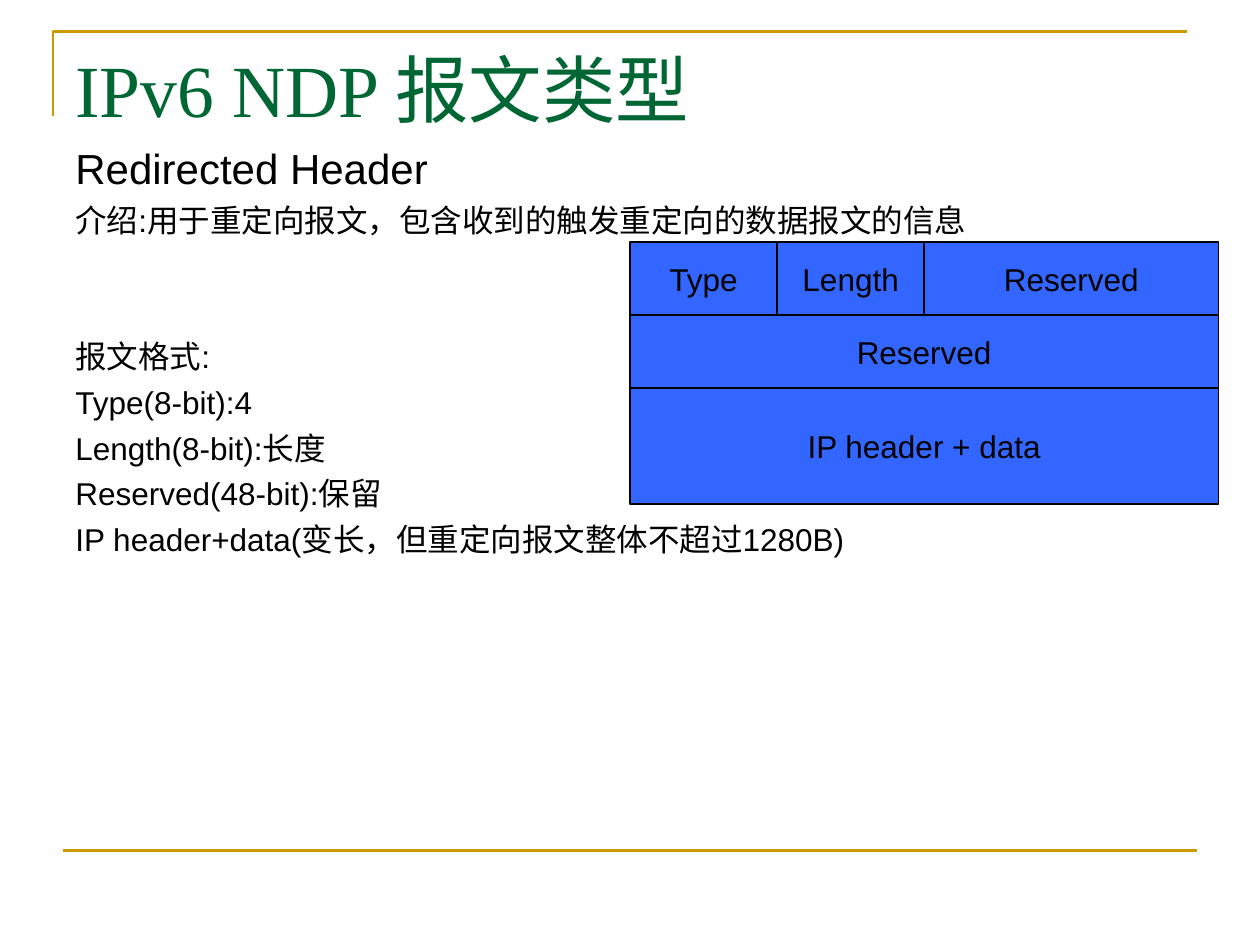
from pptx import Presentation
from pptx.dml.color import RGBColor
from pptx.enum.shapes import MSO_CONNECTOR, MSO_SHAPE
from pptx.enum.text import MSO_ANCHOR, PP_ALIGN
from pptx.oxml.ns import qn
from pptx.util import Inches, Pt

COLORS = {"rule": "CC9900", "title": "006633", "text": "000000", "field": "3366FF"}
DIAGRAM_LEFT, DIAGRAM_TOP, DIAGRAM_WIDTH = 5, 1.92, 4.67
WORD_BITS = 32
HEADER_ROWS = [
    (0.58, [("Type", 8), ("Length", 8), ("Reserved", 16)]),
    (0.58, [("Reserved", 32)]),
    (0.92, [("IP header + data", 32)]),
]
BODY = [
    ("Redirected Header", 24, 6),
    ("介绍:用于重定向报文，包含收到的触发重定向的数据报文的信息", 18, 4.5),
    ("报文格式:", 18, 56.5),
    ("Type(8-bit):4", 18, 4.5),
    ("Length(8-bit):长度", 18, 4.5),
    ("Reserved(48-bit):保留", 18, 4.5),
    ("IP header+data(变长，但重定向报文整体不超过1280B)", 18, 4.5),
]


def color(name):
    """Return the palette colour of the given name."""
    return RGBColor.from_string(COLORS[name])


def set_line(element, name, width):
    """Give a shape or connector a solid line."""
    element.line.color.rgb = color(name)
    element.line.width = Pt(width)


def set_paragraph(paragraph, text, size, font="Arial", ink="text"):
    """Write one paragraph in a single font."""
    paragraph.text = text
    paragraph.font.size = Pt(size)
    paragraph.font.name = font
    paragraph.font.color.rgb = color(ink)


def add_corner_rule(slide):
    """Draw the angled rule around the top left of the title."""
    builder = slide.shapes.build_freeform(Inches(0.42), Inches(0.92))
    builder.add_line_segments(
        [(Inches(0.42), Inches(0.25)), (Inches(9.42), Inches(0.25))], close=False
    )
    corner = builder.convert_to_shape()
    corner.shadow.inherit = False
    corner.fill.background()
    set_line(corner, "rule", 1.5)


def add_footer_rule(slide):
    """Draw the straight rule at the foot of the slide."""
    rule = slide.shapes.add_connector(
        MSO_CONNECTOR.STRAIGHT, Inches(0.5), Inches(6.75), Inches(9.5), Inches(6.75)
    )
    set_line(rule, "rule", 1.5)
    properties = rule._element.spPr
    properties.append(properties.makeelement(qn("a:effectLst"), {}))


def add_text_frame(slide, left, top, width, height):
    """Add a wrapping text box and return its text frame."""
    box = slide.shapes.add_textbox(
        Inches(left), Inches(top), Inches(width), Inches(height)
    )
    box.text_frame.word_wrap = True
    return box.text_frame


def add_body(slide):
    """Add the explanation of the message and its fields."""
    frame = add_text_frame(slide, 0.5, 1.08, 9, 4.95)
    for index, (text, size, space) in enumerate(BODY):
        paragraph = frame.add_paragraph() if index else frame.paragraphs[0]
        set_paragraph(paragraph, text, size)
        paragraph.space_before = Pt(space)


def add_field(slide, label, left, top, width, height):
    """Add one labelled field of the header diagram."""
    field = slide.shapes.add_shape(
        MSO_SHAPE.RECTANGLE, Inches(left), Inches(top), Inches(width), Inches(height)
    )
    field.shadow.inherit = False
    field.fill.solid()
    field.fill.fore_color.rgb = color("field")
    set_line(field, "text", 0.75)
    frame = field.text_frame
    frame.word_wrap = False
    frame.vertical_anchor = MSO_ANCHOR.MIDDLE
    set_paragraph(frame.paragraphs[0], label, 18)
    frame.paragraphs[0].alignment = PP_ALIGN.CENTER


def add_header_diagram(slide):
    """Stack the header rows, each field as wide as its bits."""
    top = DIAGRAM_TOP
    for height, fields in HEADER_ROWS:
        left = DIAGRAM_LEFT
        for label, bits in fields:
            width = DIAGRAM_WIDTH * bits / WORD_BITS
            add_field(slide, label, left, top, width, height)
            left += width
        top += height


def main():
    """Build and save the slide."""
    presentation = Presentation()
    presentation.slide_width = Inches(10)
    presentation.slide_height = Inches(7.5)
    slide = presentation.slides.add_slide(presentation.slide_layouts[6])
    add_corner_rule(slide)
    add_footer_rule(slide)
    title = add_text_frame(slide, 0.5, 0.3, 9, 1.25)
    set_paragraph(
        title.paragraphs[0], "IPv6 NDP 报文类型", 42, "Times New Roman", "title"
    )
    add_body(slide)
    add_header_diagram(slide)
    presentation.save("out.pptx")


if __name__ == "__main__":
    main()
